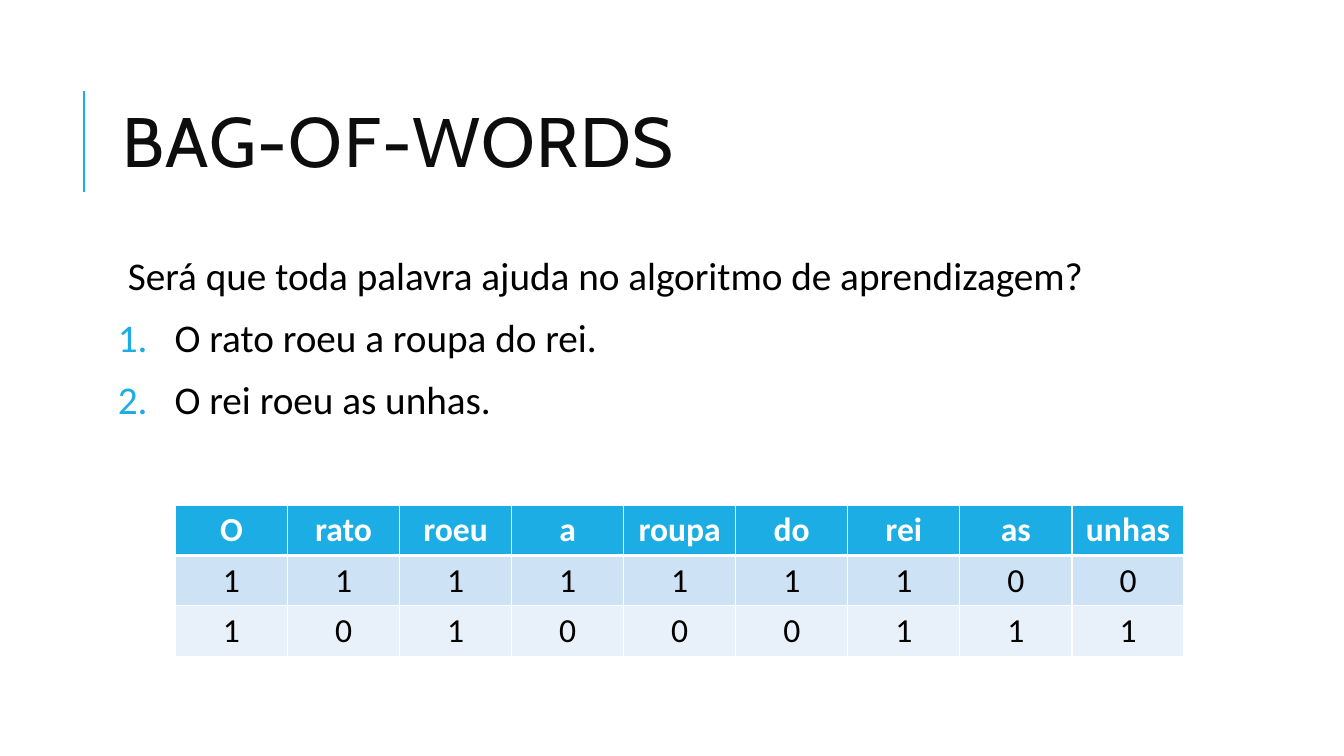
from lxml.etree import SubElement
from pptx import Presentation
from pptx.dml.color import RGBColor
from pptx.enum.shapes import MSO_CONNECTOR as Connector
from pptx.enum.text import MSO_ANCHOR as Anchor, PP_ALIGN as Align
from pptx.oxml.ns import qn
from pptx.util import Pt

ACCENT, WHITE, BLACK, TITLE_INK = "1CADE4", "FFFFFF", "000000", "0D0D0D"
ROW_FILLS = [ACCENT, "CDE3F5", "E8F1FA"]
QUESTION = "Será que toda palavra ajuda no algoritmo de aprendizagem?"
SENTENCES = ["O rato roeu a roupa do rei.", "O rei roeu as unhas."]
BAG = [
    ["O", "rato", "roeu", "a", "roupa", "do", "rei", "as", "unhas"],
    [1, 1, 1, 1, 1, 1, 1, 0, 0],
    [1, 0, 1, 0, 0, 0, 1, 1, 1],
]


def rgb(value):
    return RGBColor.from_string(value)


def style(paragraph, name, size, color, bold=False):
    font = paragraph.font
    font.name, font.size, font.bold = name, Pt(size), bold
    font.color.rgb = rgb(color)


def add_solid(parent, color):
    SubElement(SubElement(parent, qn("a:solidFill")), qn("a:srgbClr"), val=color)


def add_title(slide, left, top, width, height):
    bar_x, bar_top = left - 20.6, top + 18.7
    bar = slide.shapes.add_connector(
        Connector.STRAIGHT, Pt(bar_x), Pt(bar_top + 72), Pt(bar_x), Pt(bar_top))
    bar.line.color.rgb = rgb(ACCENT)
    bar.line.width = Pt(1.5)
    SubElement(bar._element.spPr, qn("a:effectLst"))

    frame = slide.shapes.add_textbox(Pt(left), Pt(top), Pt(width), Pt(height)).text_frame
    frame.word_wrap = True
    frame.vertical_anchor = Anchor.MIDDLE
    heading = frame.paragraphs[0]
    heading.line_spacing = 0.8
    run = heading.add_run()
    run.text = "BAG-OF-WORDS"
    run._r.get_or_add_rPr().set("spc", "100")
    style(heading, "Cabin", 50, TITLE_INK)


def add_body(slide, left, top, width, height):
    frame = slide.shapes.add_textbox(Pt(left), Pt(top), Pt(width), Pt(height)).text_frame
    frame.word_wrap = True
    frame.margin_left = frame.margin_right = Pt(3.6)
    frame.margin_top = frame.margin_bottom = Pt(3.6)
    for index, text in enumerate([QUESTION] + SENTENCES):
        line = frame.add_paragraph() if index else frame.paragraphs[0]
        line.text = text
        line.alignment = Align.JUSTIFY
        line.line_spacing = 0.9
        line.space_before, line.space_after = Pt(12), Pt(2)
        properties = line._p.get_or_add_pPr()
        indent = Pt(40.5 if index else 7.2)
        properties.set("marL", str(indent))
        if index:
            properties.set("indent", str(-indent))
            SubElement(SubElement(properties, qn("a:buClr")), qn("a:srgbClr"), val=ACCENT)
            SubElement(properties, qn("a:buAutoNum"), type="arabicPeriod")
        style(line, "Calibri", 28, BLACK)


def add_borders(cell, is_header, is_below_header):
    properties = cell._tc.get_or_add_tcPr()
    widths = {"L": 1, "R": 1, "T": 3 if is_below_header else 1, "B": 3 if is_header else 1}
    for side, width in widths.items():
        border = SubElement(properties, qn(f"a:ln{side}"), w=str(Pt(width)))
        add_solid(border, WHITE)


def add_bag_table(slide, left, top, width, height):
    table = slide.shapes.add_table(
        len(BAG), len(BAG[0]), Pt(left), Pt(top), Pt(width), Pt(height)).table
    for row, values in enumerate(BAG):
        is_header = row == 0
        for column, value in enumerate(values):
            cell = table.cell(row, column)
            add_borders(cell, is_header, row == 1)
            cell.fill.solid()
            cell.fill.fore_color.rgb = rgb(ROW_FILLS[row])
            cell.text = str(value)
            entry = cell.text_frame.paragraphs[0]
            entry.alignment = Align.CENTER
            style(entry, "Calibri", 24, WHITE if is_header else BLACK, is_header)


def main():
    presentation = Presentation()
    presentation.slide_width, presentation.slide_height = Pt(960), Pt(540)
    slide = presentation.slides.add_slide(presentation.slide_layouts[6])
    add_title(slide, 80.6, 46.1, 765.4, 118)
    add_body(slide, 80.6, 180, 799, 317)
    add_bag_table(slide, 125.3, 360.7, 720.7, 108)
    presentation.save("out.pptx")


if __name__ == "__main__":
    main()
